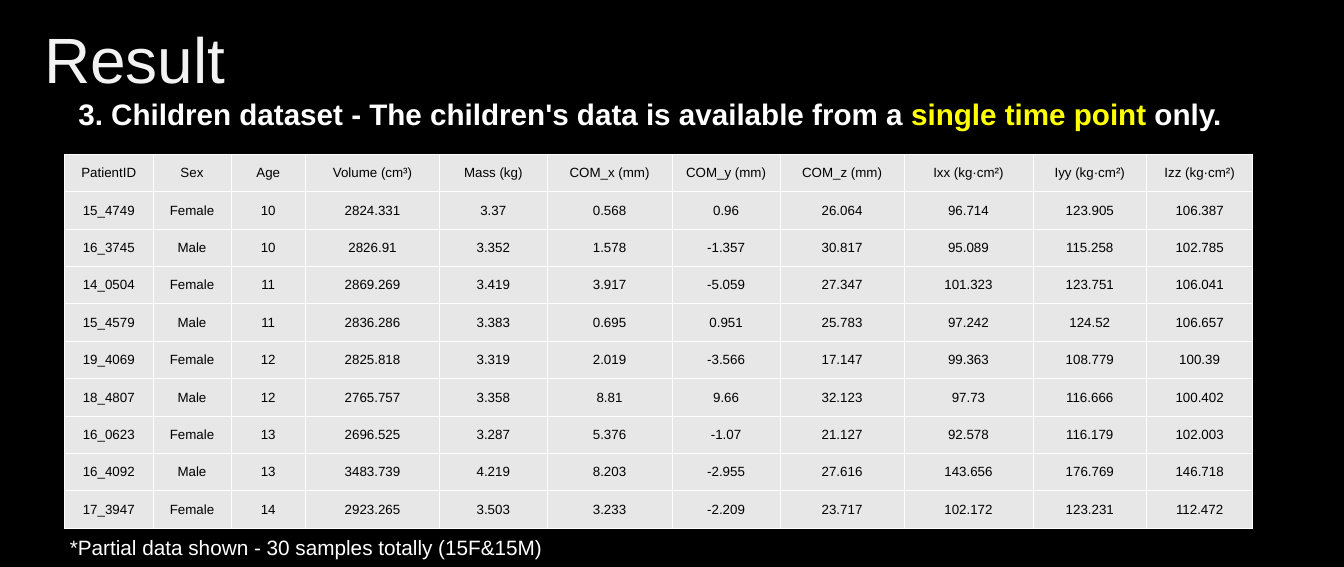
from lxml.etree import SubElement
from pptx import Presentation
from pptx.dml.color import RGBColor
from pptx.enum.text import MSO_ANCHOR, PP_ALIGN
from pptx.oxml.ns import qn
from pptx.util import Inches, Pt

FONT = "Arial"
BLACK, WHITE, OFF_WHITE = "000000", "FFFFFF", "F2F2F2"
YELLOW, CELL_GREY = "FFFF00", "E7E7E7"

COLUMN_WIDTHS = [1.66, 1.46, 1.4, 2.51, 2.02, 2.34, 2.03, 2.32, 2.42, 2.13, 1.99]
HEADERS = ["PatientID", "Sex", "Age", "Volume (cm³)", "Mass (kg)", "COM_x (mm)",
           "COM_y (mm)", "COM_z (mm)", "Ixx (kg·cm²)", "Iyy (kg·cm²)", "Izz (kg·cm²)"]
PATIENTS = """
15_4749 Female 10 2824.331 3.37 0.568 0.96 26.064 96.714 123.905 106.387
16_3745 Male 10 2826.91 3.352 1.578 -1.357 30.817 95.089 115.258 102.785
14_0504 Female 11 2869.269 3.419 3.917 -5.059 27.347 101.323 123.751 106.041
15_4579 Male 11 2836.286 3.383 0.695 0.951 25.783 97.242 124.52 106.657
19_4069 Female 12 2825.818 3.319 2.019 -3.566 17.147 99.363 108.779 100.39
18_4807 Male 12 2765.757 3.358 8.81 9.66 32.123 97.73 116.666 100.402
16_0623 Female 13 2696.525 3.287 5.376 -1.07 21.127 92.578 116.179 102.003
16_4092 Male 13 3483.739 4.219 8.203 -2.955 27.616 143.656 176.769 146.718
17_3947 Female 14 2923.265 3.503 3.233 -2.209 23.717 102.172 123.231 112.472
"""


def rgb(color):
    return RGBColor.from_string(color)


def add_run(p, text, size, color, bold=False):
    r = p.add_run()
    r.text = text
    r.font.name = FONT
    r.font.size = Pt(size)
    r.font.bold = bold
    r.font.color.rgb = rgb(color)


def add_text(s, left, top, width, height, runs, size, bold=False,
             anchor=MSO_ANCHOR.TOP, line_spacing=1.0):
    tf = s.shapes.add_textbox(Inches(left), Inches(top), Inches(width), Inches(height)).text_frame
    tf.word_wrap = True
    tf.vertical_anchor = anchor
    p = tf.paragraphs[0]
    p.line_spacing = line_spacing
    for text, color in runs:
        add_run(p, text, size, color, bold)


def add_borders(cell, color, width):
    tc_pr = cell._tc.get_or_add_tcPr()
    for position, side in enumerate(("a:lnL", "a:lnR", "a:lnT", "a:lnB")):
        ln = SubElement(tc_pr, qn(side), w=str(Pt(width)))
        tc_pr.insert(position, ln)
        fill = SubElement(ln, qn("a:solidFill"))
        SubElement(fill, qn("a:srgbClr"), val=color)


def style_cell(cell, text):
    cell.fill.solid()
    cell.fill.fore_color.rgb = rgb(CELL_GREY)
    cell.margin_left = cell.margin_right = cell.margin_top = Inches(0.01)
    cell.margin_bottom = 0
    cell.vertical_anchor = MSO_ANCHOR.MIDDLE
    p = cell.text_frame.paragraphs[0]
    p.alignment = PP_ALIGN.CENTER
    add_run(p, text, 18, BLACK)
    add_borders(cell, WHITE, 1)


def add_patient_table(s, left, top, height):
    rows = [HEADERS] + [line.split() for line in PATIENTS.strip().splitlines()]
    table = s.shapes.add_table(len(rows), len(HEADERS), Inches(left), Inches(top),
                               Inches(sum(COLUMN_WIDTHS)), Inches(height)).table
    table.first_row = table.horz_banding = False
    for column, width in zip(table.columns, COLUMN_WIDTHS):
        column.width = Inches(width)
    for i, values in enumerate(rows):
        for j, value in enumerate(values):
            style_cell(table.cell(i, j), value)


def main():
    prs = Presentation()
    prs.slide_width, prs.slide_height = Inches(25.2), Inches(10.63)
    s = prs.slides.add_slide(prs.slide_layouts[6])
    s.background.fill.solid()
    s.background.fill.fore_color.rgb = rgb(BLACK)

    add_text(s, 0.73, 0.44, 7.72, 1.49, [("Result", OFF_WHITE)], 86.4,
             anchor=MSO_ANCHOR.MIDDLE, line_spacing=0.9)
    add_text(s, 1.37, 1.74, 21.77, 0.9, [
        ("3. Children dataset - The children's data is available from a", WHITE),
        (" single time point", YELLOW),
        (" only.", WHITE),
    ], 40, bold=True)
    add_patient_table(s, 1.21, 2.89, 7.01)
    add_text(s, 1.21, 9.98, 11.38, 0.65,
             [("*Partial data shown - 30 samples totally (15F&15M)", WHITE)], 28)
    prs.save("out.pptx")


if __name__ == "__main__":
    main()
